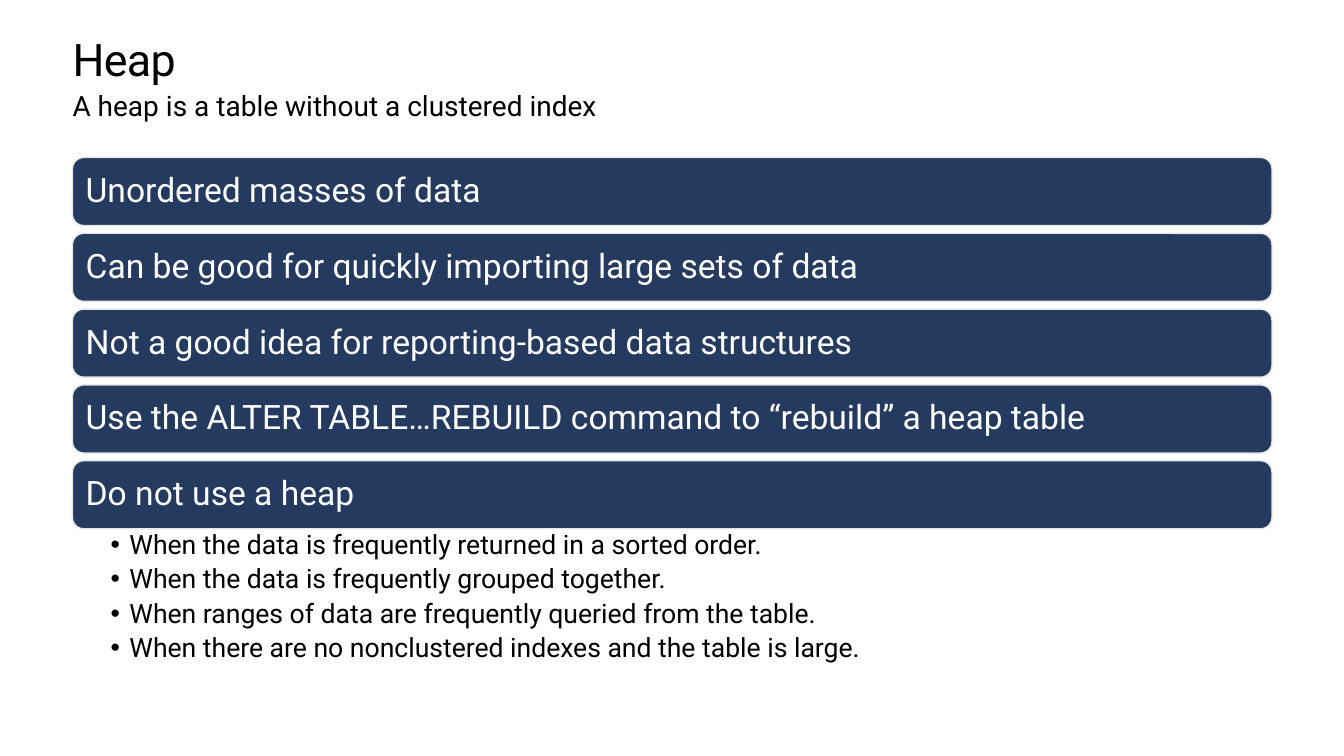
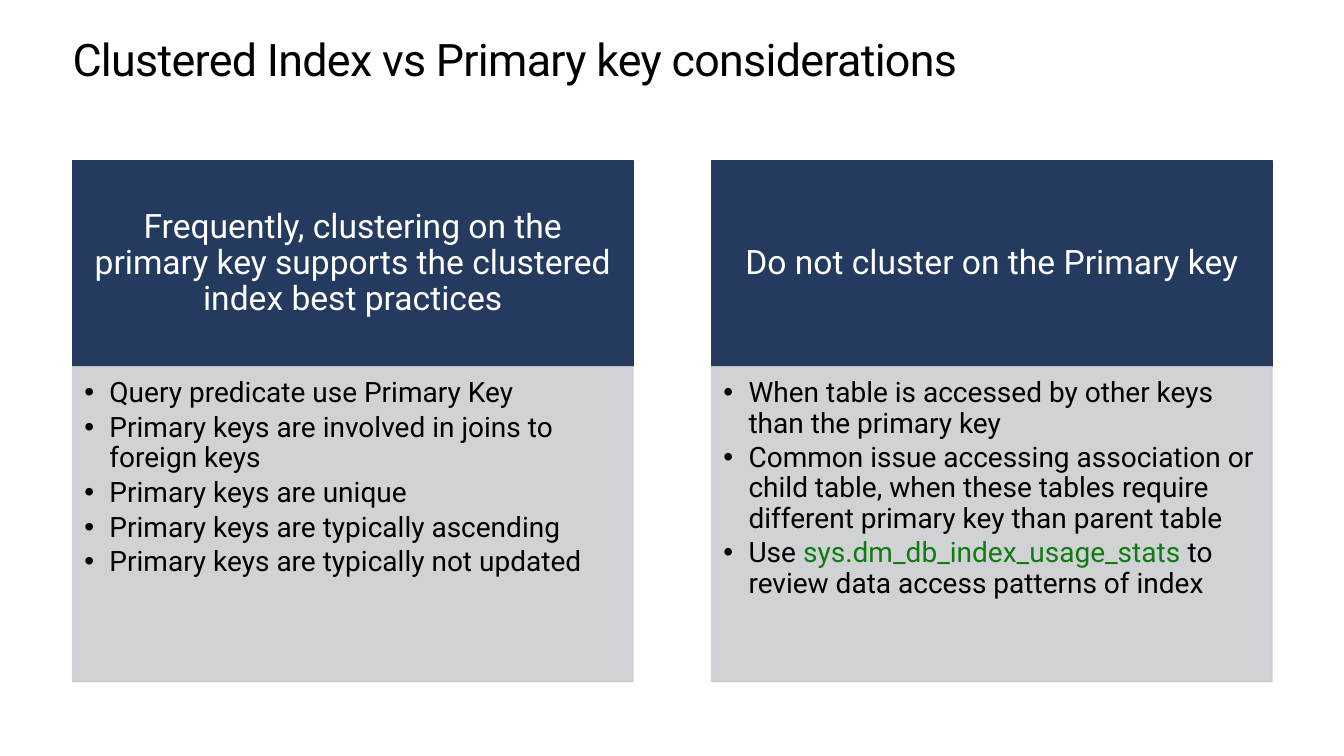
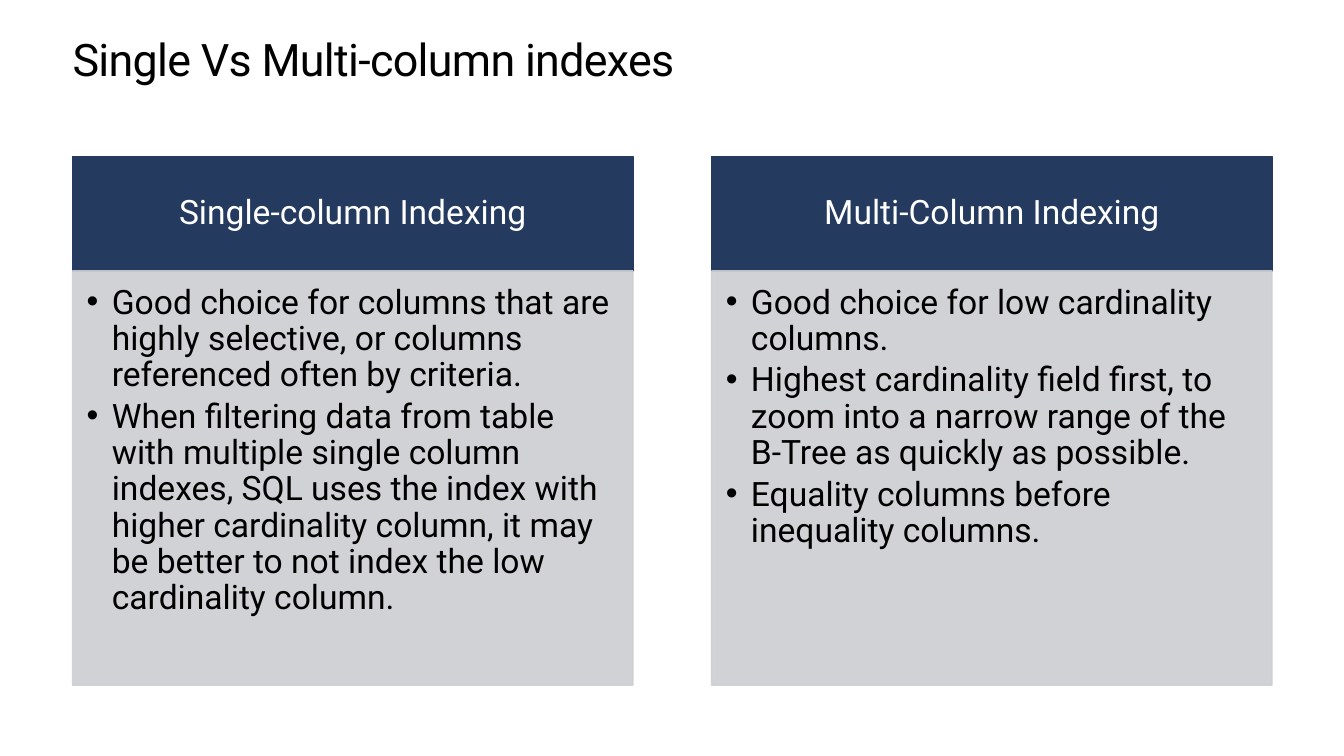
import pptx
import pptx.util
import pptx.dml.color
import pptx.enum.shapes
import pptx.enum.text
import pptx.oxml.ns
from lxml import etree

Pt = pptx.util.Pt
qn = pptx.oxml.ns.qn
ALIGN = pptx.enum.text.PP_ALIGN
ANCHOR = pptx.enum.text.MSO_ANCHOR

HUES = {"navy": "243A5E", "grey": "CDCED2", "edge": "E6E6E6",
        "white": "FFFFFF", "black": "000000", "green": "107C10"}
FONT = "Roboto"
LEFT, WIDE = 51.8, 856.8
GAP = 56.2
COL = (WIDE - GAP) / 2

HEAP = {
    "title": "Heap",
    "sub": "A heap is a table without a clustered index",
    "cards": [
        "Unordered masses of data",
        "Can be good for quickly importing large sets of data",
        "Not a good idea for reporting-based data structures",
        "Use the ALTER TABLE…REBUILD command to “rebuild” a heap table",
        "Do not use a heap",
    ],
    "list": [
        "When the data is frequently returned in a sorted order.",
        "When the data is frequently grouped together.",
        "When ranges of data are frequently queried from the table.",
        "When there are no nonclustered indexes and the table is large.",
    ],
}

# A list item may also be a tuple of (text, colour) runs.
PAIRS = [
    {
        "title": "Clustered Index vs Primary key considerations",
        "top": 114.5, "head": 147.5, "body": 224.9, "size": 20,
        "pad": (8.4, 8.4, 11.2, 12.6),
        "cols": [
            ("Frequently, clustering on the primary key supports the clustered "
             "index best practices", [
                 "Query predicate use Primary Key",
                 "Primary keys are involved in joins to foreign keys",
                 "Primary keys are unique",
                 "Primary keys are typically ascending",
                 "Primary keys are typically not updated",
             ]),
            ("Do not cluster on the Primary key", [
                "When table is accessed by other keys than the primary key",
                "Common issue accessing association or child table, when these "
                "tables require different primary key than parent table",
                (("Use ", "black"), ("sys.dm_db_index_usage_stats ", "green"),
                 ("to review data access patterns of index", "black")),
            ]),
        ],
    },
    {
        "title": "Single Vs Multi-column indexes",
        "top": 112, "head": 81.5, "body": 295.9, "size": 24,
        "pad": (10.1, 10.1, 13.4, 15.1),
        "cols": [
            ("Single-column Indexing", [
                "Good choice for columns that are highly selective, or columns "
                "referenced often by criteria.",
                "When filtering data from table with multiple single column "
                "indexes, SQL uses the index with higher cardinality column, it "
                "may be better to not index the low cardinality column.",
            ]),
            ("Multi-Column Indexing", [
                "Good choice for low cardinality columns.",
                "Highest cardinality field first, to zoom into a narrow range "
                "of the B-Tree as quickly as possible.",
                "Equality columns before inequality columns.",
            ]),
        ],
    },
]


def rgb(name):
    return pptx.dml.color.RGBColor.from_string(HUES[name])


def place(shape, x, y, w, h):
    shape.left, shape.top, shape.width, shape.height = map(Pt, (x, y, w, h))


def paint(shape, fill, line, alpha=None):
    """Fill and outline a shape, with opacity in percent."""
    shape.fill.solid()
    shape.fill.fore_color.rgb = rgb(fill)
    shape.line.color.rgb = rgb(line)
    shape.line.width = Pt(1)
    if alpha:
        for hue in shape._element.spPr.iter(qn("a:srgbClr")):
            etree.SubElement(hue, qn("a:alpha")).set("val", str(alpha * 1000))


def write(shape, items, size=24, hue="black", pad=(0, 0, 0, 0), lead=0.9,
          after=0, hang=0, align=ALIGN.LEFT, anchor=ANCHOR.TOP, track=0):
    """Put paragraphs in a shape; hang is the bullet indent, 0 for no bullet."""
    frame = shape.text_frame
    frame.word_wrap = True
    frame.auto_size = pptx.enum.text.MSO_AUTO_SIZE.NONE
    frame.vertical_anchor = anchor
    (frame.margin_left, frame.margin_top,
     frame.margin_right, frame.margin_bottom) = map(Pt, pad)
    for i, item in enumerate(items):
        para = frame.add_paragraph() if i else frame.paragraphs[0]
        props = para._p.get_or_add_pPr()
        props.set("marL", str(Pt(hang)))
        props.set("indent", str(-Pt(hang)))
        if hang:
            etree.SubElement(props, qn("a:buFont")).set("typeface", "Arial")
            etree.SubElement(props, qn("a:buChar")).set("char", "•")
        else:
            etree.SubElement(props, qn("a:buNone"))
        para.alignment = align
        para.line_spacing = lead
        para.space_before = Pt(0)
        para.space_after = Pt(after)
        for text, tint in ([(item, hue)] if isinstance(item, str) else item):
            run = para.add_run()
            run.text = text
            run.font.name = FONT
            run.font.size = Pt(size)
            run.font.bold = False
            run.font.color.rgb = rgb(tint)
            if track:
                run._r.get_or_add_rPr().set("spc", str(track))


def start(deck, layout, title):
    """Add a slide with the shared title; return it and its other placeholders."""
    slide = deck.slides.add_slide(deck.slide_layouts.get_by_name(layout))
    head, *rest = slide.placeholders
    place(head, LEFT, 25.2, WIDE, 36)
    write(head, [title], size=32, lead=Pt(36.2), track=-50)
    return slide, rest


def heap(deck, data):
    slide, (sub, body) = start(deck, "Two Content", data["title"])
    place(sub, LEFT, 63, WIDE, 36)
    write(sub, [data["sub"]], size=20, lead=1.0)
    top, step, high = 112.5, 54.15, 48.6
    for i, text in enumerate(data["cards"]):
        box = [Pt(v) for v in (LEFT, top + i * step, WIDE, high)]
        card = slide.shapes.add_shape(
            pptx.enum.shapes.MSO_SHAPE.ROUNDED_RECTANGLE, *box)
        card.shadow.inherit = False
        paint(card, "navy", "edge")
        write(card, [text], hue="white", pad=(7.2, 7.2, 7.2, 7.2),
              anchor=ANCHOR.MIDDLE)
    place(body, LEFT, 377.5, WIDE, 111.6)
    write(body, data["list"], size=19, pad=(27.2, 1.9, 13.5, 1.9),
          after=4.2, hang=13.5)


def pair(deck, data):
    slide, boxes = start(deck, "Comparison", data["title"])
    top, high, size = data["top"], data["head"], data["size"]
    for i, (title, items) in enumerate(data["cols"]):
        x = LEFT + i * (COL + GAP)
        head, body = boxes[2 * i:2 * i + 2]
        place(head, x, top, COL, high)
        paint(head, "navy", "navy")
        write(head, [title], hue="white", pad=(13.4, 7.7, 13.4, 7.7),
              align=ALIGN.CENTER, anchor=ANCHOR.MIDDLE)
        place(body, x, top + high, COL, data["body"])
        paint(body, "grey", "grey", alpha=90)
        write(body, items, size=size, pad=data["pad"], after=0.16 * size, hang=18)


def main():
    deck = pptx.Presentation()
    deck.slide_width, deck.slide_height = Pt(960), Pt(540)
    heap(deck, HEAP)
    for data in PAIRS:
        pair(deck, data)
    deck.save("out.pptx")


if __name__ == "__main__":
    main()
